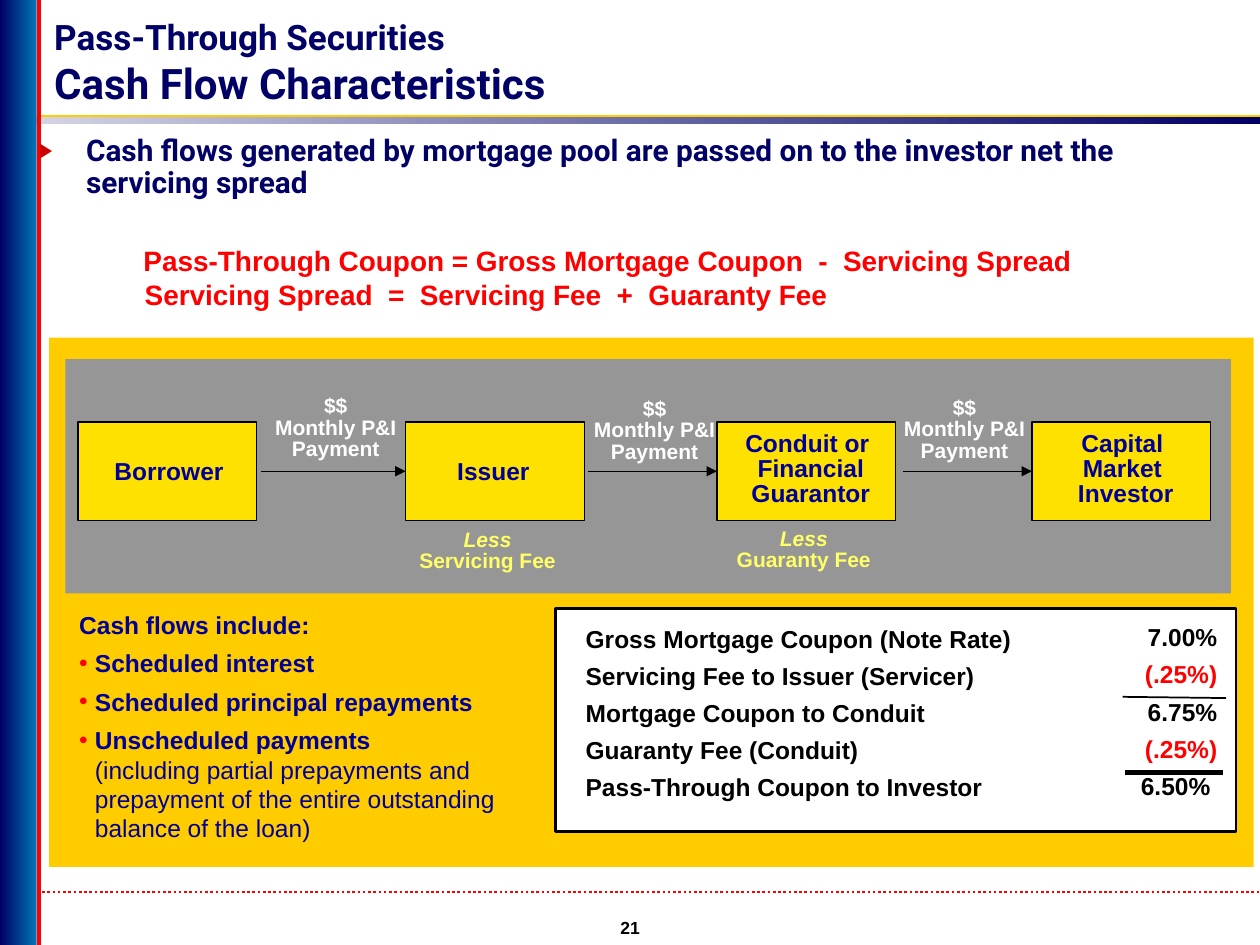
from dataclasses import dataclass
from lxml.etree import SubElement
from pptx import Presentation
from pptx.dml.color import RGBColor
from pptx.enum.dml import MSO_LINE
from pptx.enum.shapes import MSO_CONNECTOR, MSO_SHAPE
from pptx.enum.text import MSO_ANCHOR, PP_ALIGN
from pptx.oxml.ns import qn
from pptx.util import Pt


@dataclass
class Theme:
    heading_font: str = "Roboto"
    body_font: str = "Arial"
    navy: str = "000066"
    blue: str = "0175B5"
    mist: str = "DADAE8"
    label: str = "000099"
    gold: str = "FFCC00"
    yellow: str = "FFE100"
    pale: str = "FFFF66"
    gray: str = "969696"
    red: str = "FF0000"
    marker: str = "CC0000"
    black: str = "000000"
    white: str = "FFFFFF"
    title_size: int = 24
    subtitle_size: int = 20
    lead_size: int = 17
    formula_size: int = 16
    body_size: int = 14
    caption_size: int = 12
    number_size: int = 10


theme = Theme()
deck = Presentation()
deck.slide_width, deck.slide_height = Pt(720), Pt(540)
page = deck.slides.add_slide(deck.slide_layouts[6])


def add_text(place, lines, size, color, font=theme.body_font, align=PP_ALIGN.LEFT,
             spacing=None, after=0):
    box = page.shapes.add_textbox(*map(Pt, place))
    frame = box.text_frame
    frame.text = "\n".join(lines)
    frame.word_wrap = True
    for para in frame.paragraphs:
        para.alignment = align
        para.line_spacing = spacing
        para.space_after = Pt(after)
        for span in para.runs:
            span.font.name = font
            span.font.size = Pt(size)
            span.font.bold = True
            span.font.color.rgb = RGBColor.from_string(color)
    return frame


def add_line(start, end, color, width):
    line = page.shapes.add_connector(MSO_CONNECTOR.STRAIGHT, *map(Pt, start + end))
    line.line.color.rgb = RGBColor.from_string(color)
    line.line.width = Pt(width)
    SubElement(line._element.spPr, qn("a:effectLst"))
    return line


footer_rule = add_line((0, 509.8), (720, 509.8), theme.red, 1.5)
footer_rule.line.dash_style = MSO_LINE.ROUND_DOT

for place, colors in (
    ((0, 66.2, 720, 5), (theme.navy, theme.mist)),
    ((0, 0, 20.9, 540), (theme.blue, theme.navy)),
):
    band = page.shapes.add_shape(MSO_SHAPE.RECTANGLE, *map(Pt, place))
    band.shadow.inherit = False
    band.line.fill.background()
    band.fill.gradient()
    band.fill.gradient_angle = 180
    for stop, color, position in zip(band.fill.gradient_stops, colors, (0, 1)):
        stop.color.rgb = RGBColor.from_string(color)
        stop.position = position

add_line((22.3, 66.2), (720, 66.2), theme.gold, 1.5)
add_line((22.3, 0), (22.3, 540), theme.red, 2)

title = add_text((31, 5.8, 568.8, 58.3), ["Pass-Through Securities \vCash Flow Characteristics"],
                 theme.title_size, theme.navy, theme.heading_font)
title.vertical_anchor = MSO_ANCHOR.MIDDLE
title.margin_left = title.margin_right = title.margin_top = title.margin_bottom = 0
title.paragraphs[0].runs[0].font.size = Pt(theme.subtitle_size)

lead = add_text((15.1, 74.2, 671.8, 51.1),
                ["Cash flows generated by mortgage pool are passed on to the investor net the servicing spread"],
                theme.lead_size, theme.navy, theme.heading_font, spacing=0.9)
lead.paragraphs[0].space_before = Pt(7.5)

for left, top, formula in (
    (74.9, 135.4, "Pass-Through Coupon = Gross Mortgage Coupon  -  Servicing Spread"),
    (75.6, 154.8, "Servicing Spread  =  Servicing Fee  +  Guaranty Fee"),
):
    add_text((left, top, 563, 26.6), [formula], theme.formula_size, theme.red)

party_lefts = (44.6, 231.8, 409.7, 589.7)
panels = [
    ((28.1, 193, 688.3, 302.4), theme.gold, 0),
    ((317.5, 347.8, 388.8, 127.4), theme.white, 1.5),
    ((37.4, 205.2, 666, 133.9), theme.gray, 0),
] + [((left, 241.2, 102.2, 56.2), theme.yellow, 0.75) for left in party_lefts]
rectangles = []
for place, color, outline in panels:
    rectangle = page.shapes.add_shape(MSO_SHAPE.RECTANGLE, *map(Pt, place))
    rectangle.shadow.inherit = False
    rectangle.fill.solid()
    rectangle.fill.fore_color.rgb = RGBColor.from_string(color)
    if outline:
        rectangle.line.color.rgb = RGBColor.from_string(theme.black)
        rectangle.line.width = Pt(outline)
    else:
        rectangle.line.fill.background()
    rectangles.append(rectangle)
parties = rectangles[3:]

for start, party, left in zip((149, 336.2, 516.2), parties[1:], party_lefts[1:]):
    arrow = add_line((start, 269.3), (left, 269.3), theme.black, 0.75)
    arrow.end_connect(party, 1)
    SubElement(arrow.line._get_or_add_ln(), qn("a:tailEnd"), type="triangle")

for left, top in ((144.7, 223.2), (326.9, 224.6), (504, 223.9)):
    add_text((left, top, 94.3, 43.5), ["$$", "Monthly P&I Payment"], theme.caption_size,
             theme.white, align=PP_ALIGN.CENTER, spacing=0.85)

for left, top, fee in ((226.8, 299.5, "Servicing Fee"), (407.5, 298.8, "Guaranty Fee")):
    deduction = add_text((left, top, 103.7, 38.2), ["Less", fee], theme.caption_size,
                         theme.pale, align=PP_ALIGN.CENTER, spacing=0.85)
    deduction.paragraphs[0].runs[0].font.italic = True

for left, width, name in ((58.3, 84, "Borrower"), (254.2, 64, "Issuer")):
    add_text((left, 257, width, 24.5), [name], theme.body_size, theme.label)

for left, lines in (
    (418.3, ["Conduit or ", "Financial Guarantor"]),
    (598.3, ["Capital ", "Market ", "Investor"]),
):
    add_text((left, 243.4, 90, 50.4), lines, theme.body_size, theme.label,
             align=PP_ALIGN.CENTER, spacing=0.85)

rates = (
    ("Gross Mortgage Coupon (Note Rate)", "7.00%"),
    ("Servicing Fee to Issuer (Servicer)", "(.25%)"),
    ("Mortgage Coupon to Conduit", "6.75%"),
    ("Guaranty Fee (Conduit)", "(.25%)"),
    ("Pass-Through Coupon to Investor", "6.50% "),
)
names, values = zip(*rates)
add_text((327.6, 352.8, 293, 108.7), names, theme.body_size, theme.black, after=4.4)
amounts = add_text((623.5, 352.1, 79.2, 108.7), values, theme.body_size, theme.black,
                   align=PP_ALIGN.RIGHT, after=4.4)
for para in amounts.paragraphs:
    if para.text.startswith("("):
        para.runs[0].font.color.rgb = RGBColor.from_string(theme.red)
add_line((641.5, 398.2), (700.6, 398.9), theme.black, 1)
add_line((643, 441.4), (699.1, 441.4), theme.black, 3)

flows = add_text((38.2, 344.9, 273.6, 141.1), [
    "Cash flows include:",
    "Scheduled interest",
    "Scheduled principal repayments",
    "Unscheduled payments",
    "(including partial prepayments and prepayment of the entire outstanding balance of the loan)",
], theme.body_size, theme.label, after=5.2)
flows.paragraphs[3].space_after = Pt(0)
detail = flows.paragraphs[4]
detail.space_after = Pt(0)
detail.runs[0].font.bold = False
detail._p.get_or_add_pPr().set("marL", str(Pt(9)))

bullets = [(lead.paragraphs[0], "▶", theme.marker, 27, 70)]
bullets += [(para, "•", theme.red, 9, 100) for para in flows.paragraphs[1:4]]
for para, symbol, color, indent, percent in bullets:
    settings = para._p.get_or_add_pPr()
    settings.set("marL", str(Pt(indent)))
    settings.set("indent", str(-Pt(indent)))
    SubElement(SubElement(settings, qn("a:buClr")), qn("a:srgbClr"), val=color)
    SubElement(settings, qn("a:buSzPct"), val=str(percent * 1000))
    SubElement(settings, qn("a:buFont"), typeface=theme.body_font)
    SubElement(settings, qn("a:buChar"), char=symbol)

add_text((285.1, 520.6, 149.8, 19.4), ["21"], theme.number_size, theme.black,
         align=PP_ALIGN.CENTER)

deck.save("out.pptx")
